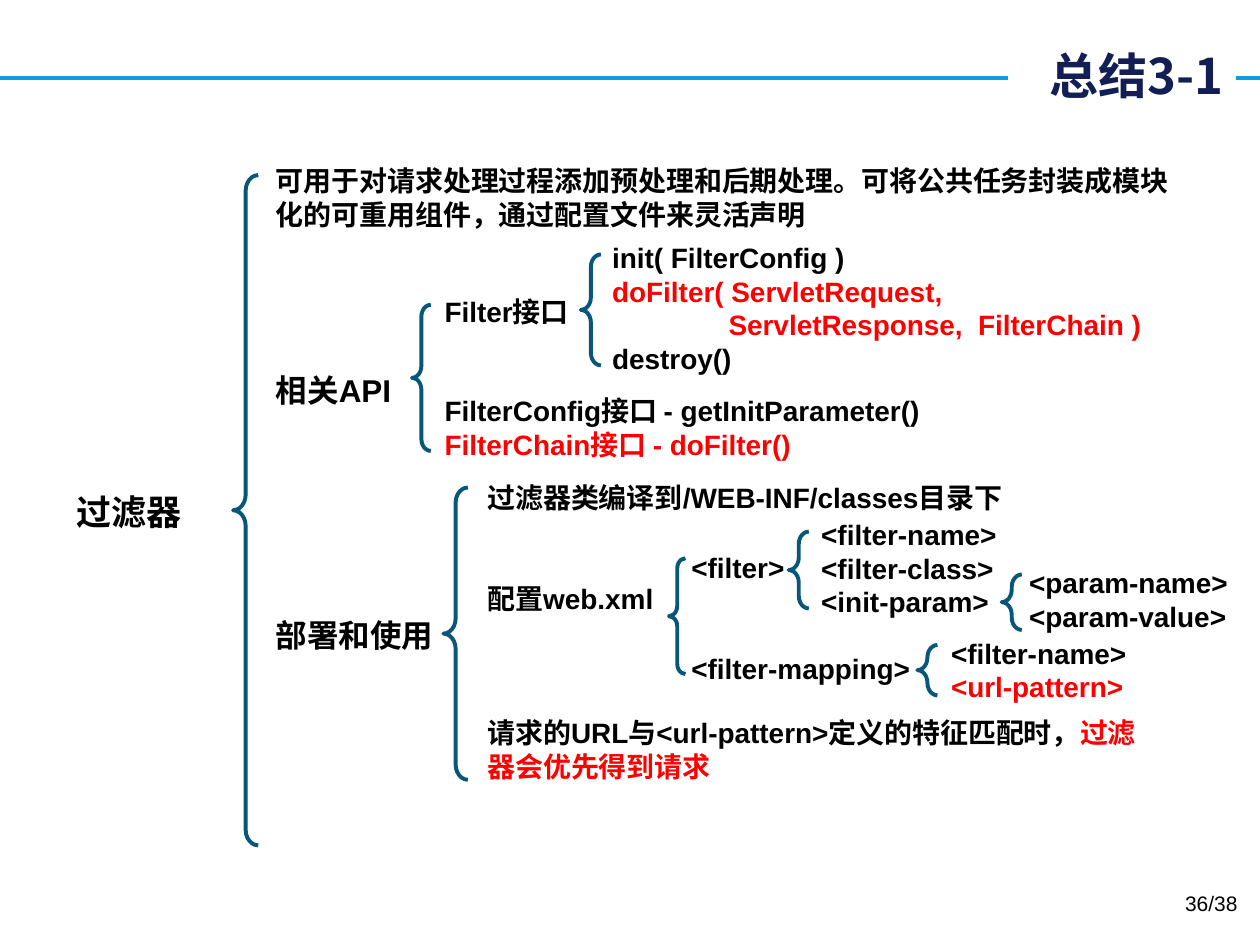
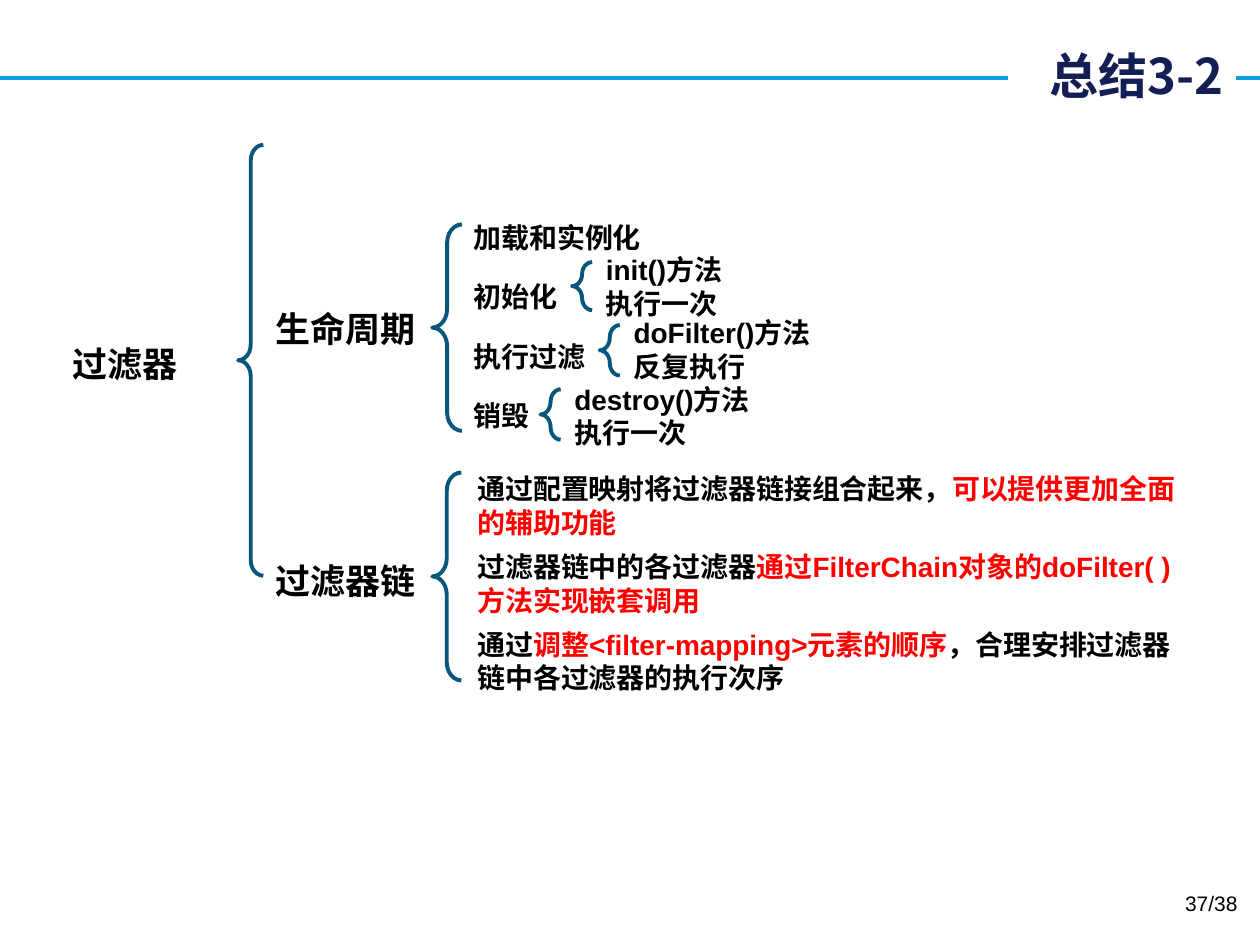
from lxml import etree
from pptx import Presentation
from pptx.dml.color import RGBColor
from pptx.enum.shapes import MSO_CONNECTOR, MSO_SHAPE
from pptx.enum.text import MSO_ANCHOR, PP_ALIGN
from pptx.oxml.ns import qn
from pptx.util import Pt

BLACK = RGBColor(0x00, 0x00, 0x00)
RED = RGBColor(0xFF, 0x00, 0x00)
WHITE = RGBColor(0xFF, 0xFF, 0xFF)
NAVY = RGBColor(0x12, 0x1E, 0x54)
SKY = RGBColor(0x0E, 0x9C, 0xDE)
TEAL = RGBColor(0x08, 0x57, 0x7A)
LATIN, CJK = "Arial", "Noto Sans CJK SC"

PAGES = 38
FIRST_PAGE = 36
LEADING = 1.2  # line pitch as a multiple of the font size
PAD_X, PAD_Y = 7.2, 3.6
TAB = "\t"  # a leading tab marks an indented continuation line
HANG = 66.5

# labels: left, top, width, size, lines; text between asterisks is red
# braces: left, top, width, height
SLIDES = [
    {
        "title": "总结3-1",
        "root": (2, 277),
        "labels": [
            (150.5, 90, 527, 16,
             ["可用于对请求处理过程添加预处理和后期处理。可将公共任务封装成模块化的可重用组件，通过配置文件来灵活声明"]),
            (150.5, 208.5, 95, 18, ["相关API"]),
            (150.5, 348.5, 115, 18, ["部署和使用"]),
            (247, 164.5, 100, 16, ["Filter接口"]),
            (247, 221.3, 433, 16,
             ["FilterConfig接口 - getInitParameter()",
              "*FilterChain接口 - doFilter()*"]),
            (342.7, 133.9, 323, 16,
             ["init( FilterConfig )",
              "*doFilter( ServletRequest,*",
              TAB + "*ServletResponse,  FilterChain )*",
              "destroy()"]),
            (271.4, 271.3, 395, 16, ["过滤器类编译到/WEB-INF/classes目录下"]),
            (271.4, 329, 120, 16, ["配置web.xml"]),
            (271.4, 405.6, 395, 16,
             ["请求的URL与<url-pattern>定义的特征匹配时，*过滤器会优先得到请求*"]),
            (388, 311, 80, 16, ["<filter>"]),
            (388, 368.6, 146, 16, ["<filter-mapping>"]),
            (462.2, 292.3, 142, 16,
             ["<filter-name>", "<filter-class>", "<init-param>"]),
            (581, 319.7, 138, 16, ["<param-name>", "<param-value>"]),
            (536.4, 360, 141, 16, ["<filter-name>", "*<url-pattern>*"]),
        ],
        "braces": [
            (133.2, 100.1, 14.4, 383),
            (235.4, 174.2, 10.8, 83.5),
            (331.9, 145.4, 11.5, 63.4),
            (253.4, 278.6, 14, 167),
            (382.3, 319, 9.4, 66.2),
            (450.7, 303.8, 11.5, 43.9),
            (572.4, 328.3, 11.5, 31.7),
            (524.2, 368.6, 11.5, 28.8),
        ],
    },
    {
        "title": "总结3-2",
        "root": (0, 192),
        "labels": [
            (150.5, 172.1, 173, 20, ["生命周期"]),
            (150.5, 316.1, 173, 20, ["过滤器链"]),
            *[(263.5, 122.2 + 34 * i, 119, 16, [stage]) for i, stage in
              enumerate(["加载和实例化", "初始化", "执行过滤", "销毁"])],
            (339.1, 141, 142, 16, ["init()方法", "执行一次"]),
            (355, 177, 142, 16, ["doFilter()方法", "反复执行"]),
            (321.1, 214.8, 142, 16, ["destroy()方法", "执行一次"]),
            (265.7, 266.2, 420, 16,
             ["通过配置映射将过滤器链接组合起来，*可以提供更加全面的辅助功能*",
              "过滤器链中的各过滤器*通过FilterChain对象的doFilter( )方法实现嵌套调用*",
              "通过*调整<filter-mapping>元素的顺序*，合理安排过滤器链中各过滤器的执行次序"], 6),
        ],
        "braces": [
            (136.1, 82.8, 14.4, 246.2),
            (247, 128.2, 17, 118),
            (247, 270, 16.6, 118.8),
            (326.9, 149.8, 11.5, 27.4),
            (342.7, 185.8, 11.5, 28.8),
            (308.9, 222.5, 11.5, 28.8),
        ],
    },
]


def add_box(s, left, top, width, height):
    sp = s.shapes.add_textbox(Pt(left), Pt(top), Pt(width), Pt(height))
    sp.text_frame.word_wrap = True
    return sp


def set_font(p, size, latin=LATIN, color=BLACK, bold=True):
    p.font.size, p.font.name, p.font.bold = Pt(size), latin, bold
    p.font.color.rgb = color


def add_run(p, text, color=None):
    r = p.add_run()
    r.text = text
    if color is not None:
        r.font.color.rgb = color
    etree.SubElement(r._r.get_or_add_rPr(), qn("a:ea")).set("typeface", CJK)


def add_label(s, left, top, width, size, lines, gap=0, align=PP_ALIGN.LEFT):
    pitch = size * LEADING
    tf = add_box(s, left, top, width, pitch * len(lines) + 2 * PAD_Y).text_frame
    tf.margin_left = tf.margin_right = Pt(PAD_X)
    tf.margin_top = tf.margin_bottom = Pt(PAD_Y)
    for i, line in enumerate(lines):
        p = tf.add_paragraph() if i else tf.paragraphs[0]
        p.alignment, p.line_spacing, p.space_after = align, Pt(pitch), Pt(gap)
        set_font(p, size)
        if line.startswith(TAB):
            p._p.get_or_add_pPr().set("marL", str(Pt(HANG)))
        for k, part in enumerate(line.strip(TAB).split("*")):
            if part:
                add_run(p, part, RED if k % 2 else BLACK)


def add_brace(s, left, top, width, height):
    sp = s.shapes.add_shape(MSO_SHAPE.LEFT_BRACE, Pt(left), Pt(top), Pt(width), Pt(height))
    sp.adjustments[0], sp.adjustments[1] = 0.62, 0.5
    sp.shadow.inherit = False
    sp.fill.background()
    sp.line.color.rgb, sp.line.width = TEAL, Pt(2.25)


def add_frame(s, title, page):
    """Header line, title and page number."""
    line = s.shapes.add_connector(MSO_CONNECTOR.STRAIGHT, 0, Pt(44.6), Pt(720), Pt(44.6))
    line.line.color.rgb, line.line.width = SKY, Pt(2.25)
    etree.SubElement(line._element.spPr, qn("a:effectLst"))

    sp = add_box(s, 576, 22.3, 130.3, 41)
    sp.fill.solid()
    sp.fill.fore_color.rgb = WHITE
    sp.text_frame.vertical_anchor = MSO_ANCHOR.MIDDLE
    p = sp.text_frame.paragraphs[0]
    p.alignment = PP_ALIGN.RIGHT
    set_font(p, 28, CJK, NAVY)
    add_run(p, title, NAVY)

    p = add_box(s, 546.5, 505.4, 167.8, 28.8).text_frame.paragraphs[0]
    p.alignment = PP_ALIGN.RIGHT
    set_font(p, 12, bold=False)
    add_run(p, f"{page}/{PAGES}")


def main():
    prs = Presentation()
    prs.slide_width, prs.slide_height = Pt(720), Pt(540)
    for page, content in enumerate(SLIDES, FIRST_PAGE):
        s = prs.slides.add_slide(prs.slide_layouts[6])
        add_frame(s, content["title"], page)
        add_label(s, *content["root"], 143, 20, ["过滤器"], align=PP_ALIGN.CENTER)
        for label in content["labels"]:
            add_label(s, *label)
        for brace in content["braces"]:
            add_brace(s, *brace)
    prs.save("out.pptx")


if __name__ == "__main__":
    main()
